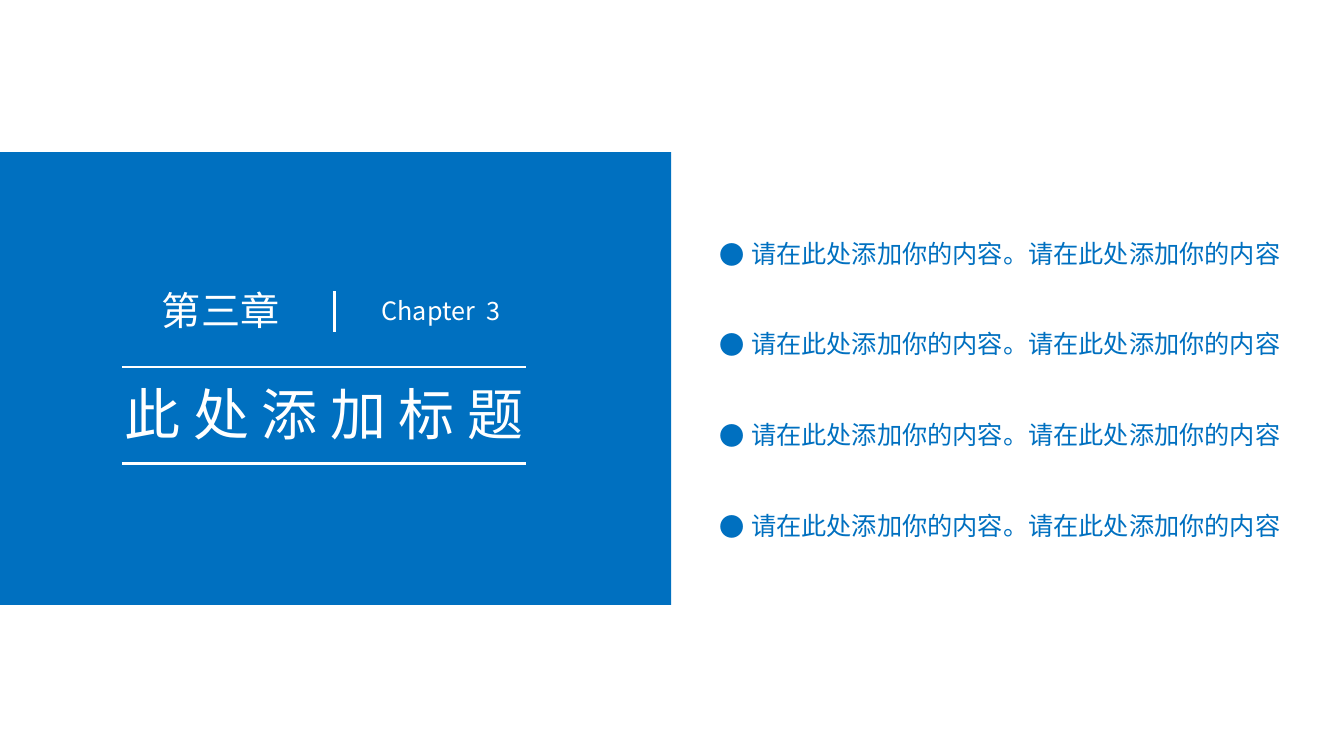
from lxml.etree import SubElement
from pptx import Presentation
from pptx.dml.color import RGBColor
from pptx.enum.shapes import MSO_CONNECTOR, MSO_SHAPE
from pptx.enum.text import MSO_ANCHOR, MSO_AUTO_SIZE, PP_ALIGN
from pptx.oxml.ns import qn
from pptx.util import Pt

FONT = "Noto Sans CJK SC"
BLUE, WHITE = "0070C0", "FFFFFF"

TITLE = ("此 处 添 加 标 题", 40, (54, 267.2, 355, 55.4))
LABELS = [
    ("第三章", 28, (61.9, 200.8, 191.5, 41)),
    ("Chapter  3", 18, (231.1, 207.1, 167.8, 28.8)),
]
POINTS = ["请在此处添加你的内容。请在此处添加你的内容"] * 4
POINTS_AREA = (506.9, 153.4, 427, 236.2)
POINT_LINE, POINT_GAP, POINT_INDENT = 34.6, 30.2, 22.5
PANEL_AREA = (-0.7, 108.7, 480.2, 323.3)
RULES = [
    (239, 208.1, 239, 236.9),
    (87.1, 262.1, 375.8, 262.1),
    (87.1, 331.2, 375.8, 331.2),
]


def color(value):
    return RGBColor.from_string(value)


def points(values):
    return [Pt(value) for value in values]


def format_text(para, size, tint):
    for span in para.runs:
        span.font.size = Pt(size)
        span.font.bold = False
        span.font.name = FONT
        span.font.color.rgb = color(tint)
        SubElement(span._r.get_or_add_rPr(), qn("a:ea"), typeface=FONT)


def fill_heading(box, text, size, area):
    box.left, box.top, box.width, box.height = points(area)
    frame = box.text_frame
    frame.text = text
    frame.word_wrap = True
    frame.auto_size = MSO_AUTO_SIZE.NONE
    frame.vertical_anchor = MSO_ANCHOR.MIDDLE
    frame.margin_top = frame.margin_bottom = 0
    para = frame.paragraphs[0]
    para.alignment = PP_ALIGN.CENTER
    para.line_spacing = 1.0
    format_text(para, size, WHITE)


def add_bullet(para):
    props = para._p.get_or_add_pPr()
    props.set("marL", str(Pt(POINT_INDENT)))
    props.set("indent", str(-Pt(POINT_INDENT)))
    SubElement(props, qn("a:buFont"), typeface=FONT)
    SubElement(props, qn("a:buChar"), char="●")


def add_points(page):
    frame = page.shapes.add_textbox(*points(POINTS_AREA)).text_frame
    frame.word_wrap = True
    frame.text = "\n".join(POINTS)
    for index, para in enumerate(frame.paragraphs):
        add_bullet(para)
        para.line_spacing = Pt(POINT_LINE)
        para.space_before = Pt(POINT_GAP if index else 0)
        format_text(para, 18, BLUE)


def add_panel(page):
    panel = page.shapes.add_shape(MSO_SHAPE.RECTANGLE, *points(PANEL_AREA))
    panel.shadow.inherit = False
    panel.fill.solid()
    panel.fill.fore_color.rgb = color(BLUE)
    panel.line.fill.background()
    tree = page.shapes._spTree
    tree.remove(panel._element)
    tree.insert(2, panel._element)


def add_rule(page, ends):
    rule = page.shapes.add_connector(MSO_CONNECTOR.STRAIGHT, *points(ends))
    rule.line.color.rgb = color(WHITE)
    rule.line.width = Pt(2)
    SubElement(rule._element.spPr, qn("a:effectLst"))


def main():
    deck = Presentation()
    deck.slide_width, deck.slide_height = Pt(960), Pt(540)
    page = deck.slides.add_slide(deck.slide_layouts[5])
    add_panel(page)
    fill_heading(page.shapes.title, *TITLE)
    for text, size, area in LABELS:
        fill_heading(page.shapes.add_textbox(*points(area)), text, size, area)
    for ends in RULES:
        add_rule(page, ends)
    add_points(page)
    deck.save("out.pptx")


if __name__ == "__main__":
    main()
